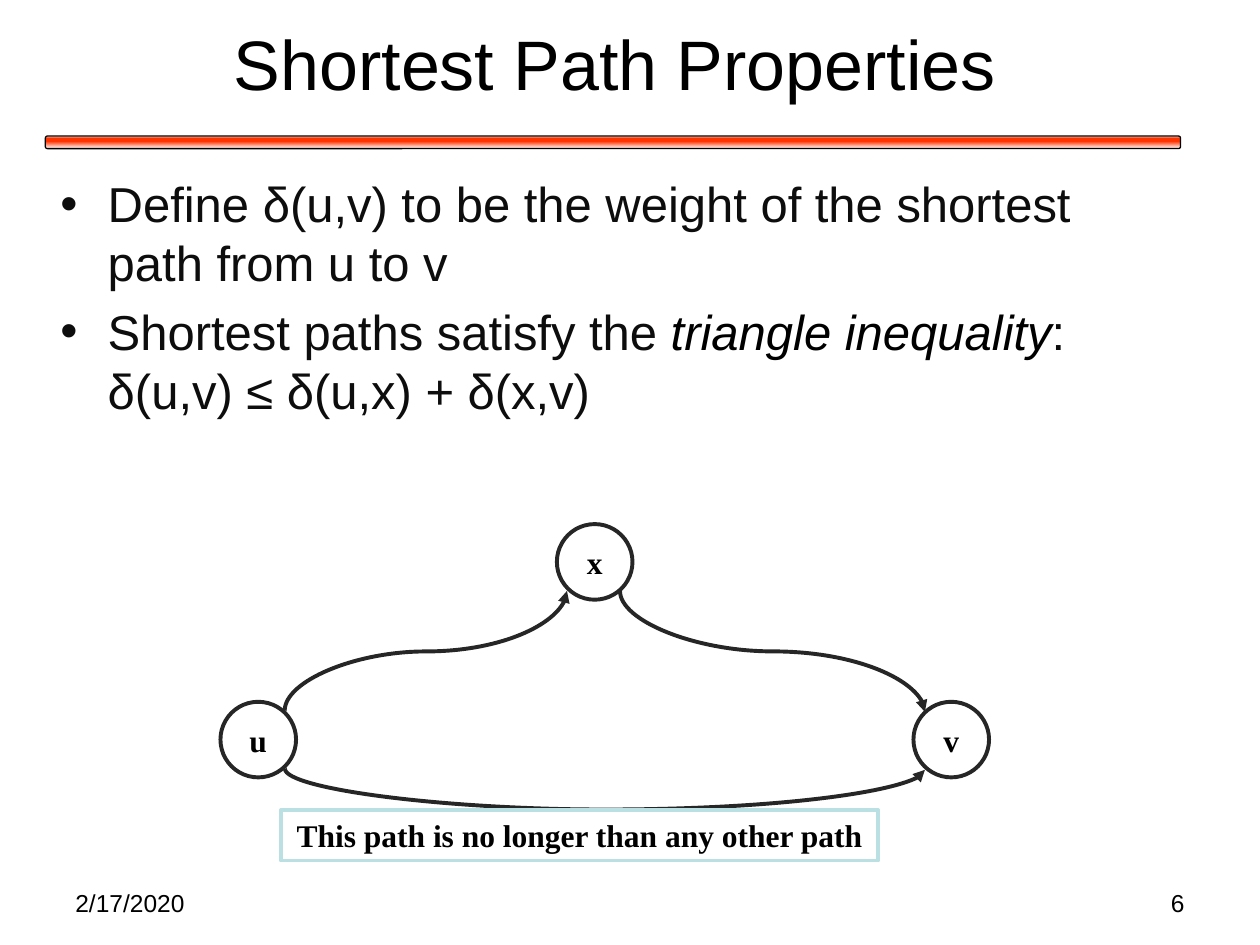
from dataclasses import dataclass

from lxml import etree
from pptx import Presentation
from pptx.dml.color import RGBColor
from pptx.enum.shapes import MSO_CONNECTOR, MSO_SHAPE
from pptx.enum.text import MSO_ANCHOR, MSO_AUTO_SIZE, PP_ALIGN
from pptx.oxml import parse_xml
from pptx.oxml.ns import nsdecls, qn
from pptx.util import Inches, Pt

CURVE = MSO_CONNECTOR.CURVE
OVAL, RECT, ROUND = MSO_SHAPE.OVAL, MSO_SHAPE.RECTANGLE, MSO_SHAPE.ROUNDED_RECTANGLE
MIDDLE, NO_FIT = MSO_ANCHOR.MIDDLE, MSO_AUTO_SIZE.NONE
LEFT, CENTER, RIGHT = PP_ALIGN.LEFT, PP_ALIGN.CENTER, PP_ALIGN.RIGHT


@dataclass(frozen=True)
class Theme:
    """Fonts, colours and type sizes of the slide."""
    sans: str = "Arial"
    serif: str = "Times New Roman"
    black: str = "000000"
    white: str = "FFFFFF"
    soft: str = "0D0D0D"
    edge: str = "262626"
    frame: str = "BBE0E3"
    red: str = "FF3300"
    title: int = 40
    body: int = 28
    label: int = 18
    foot: int = 14
    thick: float = 2.25
    thin: float = 0.75


THEME = Theme()


def place(shape, box):
    """Move a shape to a box given in inches."""
    shape.left, shape.top, shape.width, shape.height = map(Inches, box)


def style(font, face, size, color, bold=False, italic=False):
    """Set the look of a font."""
    font.name, font.size, font.bold, font.italic = face, Pt(size), bold, italic
    font.color.rgb = RGBColor.from_string(color)


def stroke(line, color, width):
    """Set the colour and width of a line."""
    line.color.rgb = RGBColor.from_string(color)
    line.width = Pt(width)


def add_title(slide, box, text):
    """Fill the title placeholder."""
    title = slide.shapes.title
    place(title, box)
    frame = title.text_frame
    frame.text = text
    frame.auto_size, frame.vertical_anchor = NO_FIT, MIDDLE
    frame.paragraphs[0].alignment = CENTER
    style(frame.paragraphs[0].runs[0].font, THEME.sans, THEME.title, THEME.black)


def add_rule(slide, box):
    """Draw the glowing bar below the title."""
    bar = slide.shapes.add_shape(ROUND, *map(Inches, box))
    bar.shadow.inherit = False
    stroke(bar.line, THEME.black, THEME.thin)
    stops = ((0, THEME.white), (16, THEME.red), (42, THEME.red), (100, THEME.white))
    marks = "".join(f'<a:gs pos="{at * 1000}"><a:srgbClr val="{color}"/></a:gs>'
                    for at, color in stops)
    fill = parse_xml(f'<a:gradFill {nsdecls("a")} rotWithShape="1"><a:gsLst>{marks}'
                     '</a:gsLst><a:lin ang="5400000" scaled="1"/></a:gradFill>')
    bar._element.spPr.find(qn("a:prstGeom")).addnext(fill)


def add_list(slide, box, items):
    """Fill the body placeholder with items of (text, italic) parts."""
    body = slide.placeholders[1]
    place(body, box)
    frame = body.text_frame
    frame.auto_size = NO_FIT
    for i, parts in enumerate(items):
        para = frame.add_paragraph() if i else frame.paragraphs[0]
        para.space_before = Pt(5.6 if i else 0)
        for text, italic in parts:
            run = para.add_run()
            run.text = text
            color = THEME.black if italic else THEME.soft
            style(run.font, THEME.sans, THEME.body, color, italic=italic)


def add_label(shape, text):
    """Write a bold centred label in a shape."""
    frame = shape.text_frame
    frame.text = text
    frame.word_wrap, frame.vertical_anchor = False, MIDDLE
    frame.paragraphs[0].alignment = CENTER
    style(frame.paragraphs[0].runs[0].font, THEME.serif, THEME.label, THEME.black, True)


def add_node(slide, box, name):
    """Draw one graph node."""
    node = slide.shapes.add_shape(OVAL, *map(Inches, box))
    node.shadow.inherit = False
    node.fill.solid()
    node.fill.fore_color.rgb = RGBColor.from_string(THEME.white)
    stroke(node.line, THEME.edge, THEME.thick)
    add_label(node, name)


def add_edge(slide, start, end, bend):
    """Draw an upright curved arrow whose middle lies at height bend."""
    (x1, y1), (x2, y2) = start, end
    mid_x, mid_y = (x1 + x2) / 2, (y1 + y2) / 2
    half_x, half_y = (x2 - x1) / 2, (y2 - y1) / 2
    ends = (mid_x + half_y, mid_y - half_x, mid_x - half_y, mid_y + half_x)
    edge = slide.shapes.add_connector(CURVE, *map(Inches, ends))
    stroke(edge.line, THEME.edge, THEME.thick)
    props = edge._element.spPr
    props.find(qn("a:xfrm")).set("rot", "16200000")
    guides = props.find(qn("a:prstGeom")).get_or_add_avLst()
    ratio = round((bend - y1) / (y2 - y1) * 100000)
    etree.SubElement(guides, qn("a:gd"), name="adj1", fmla=f"val {ratio}")
    etree.SubElement(props.find(qn("a:ln")), qn("a:tailEnd"), type="triangle")
    etree.SubElement(props, qn("a:effectLst"))


def add_graph(slide, box):
    """Draw the three nodes, their paths and the note."""
    left, top, width, height = box
    size, low = 0.6, top + 1.41
    right = left + width
    peak = left + 2.67
    for name, x, y in (("x", peak, top), ("u", left, low), ("v", right - size, low)):
        add_node(slide, (x, y, size, size), name)
    near, far = left + 0.51, right - 0.51
    add_edge(slide, (near, low + 0.07), (peak + 0.08, top + 0.53), top + 1.01)
    add_edge(slide, (peak + 0.5, top + 0.53), (far, low + 0.08), top + 1.01)
    add_edge(slide, (near, low + 0.53), (far, low + 0.54), low + 0.86)
    note_box = (left + 0.48, top + height - 0.4, 4.74, 0.4)
    note = slide.shapes.add_shape(RECT, *map(Inches, note_box))
    note.shadow.inherit = False
    note.fill.background()
    stroke(note.line, THEME.frame, THEME.thick)
    add_label(note, "This path is no longer than any other path")


def add_foot(slide, box, date, page):
    """Write the date on the left and the page number on the right."""
    left, top, width, height = box
    part = 2.33
    for text, x, align in ((date, left, LEFT), (page, left + width - part, RIGHT)):
        area = slide.shapes.add_textbox(*map(Inches, (x, top, part, height)))
        frame = area.text_frame
        frame.text = text
        frame.word_wrap = True
        frame.paragraphs[0].alignment = align
        style(frame.paragraphs[0].runs[0].font, THEME.sans, THEME.foot, THEME.black)


def main():
    """Build and save the slide."""
    deck = Presentation()
    deck.slide_width, deck.slide_height = Inches(10), Inches(7.5)
    slide = deck.slides.add_slide(deck.slide_layouts[1])
    add_rule(slide, (0.36, 1.08, 9.01, 0.1))
    add_title(slide, (0.38, 0, 9, 0.99), "Shortest Path Properties")
    add_list(slide, (0.38, 1.33, 9, 5.55), (
        (("Define δ(u,v) to be the weight of the shortest path from u to v", False),),
        (("Shortest paths satisfy the ", False), ("triangle inequality", True),
         (": δ(u,v) ≤ δ(u,x) + δ(x,v)", False)),
    ))
    add_graph(slide, (1.75, 4.16, 6.1, 2.67))
    add_foot(slide, (0.5, 7, 9, 0.35), "2/17/2020", "6")
    deck.save("out.pptx")


if __name__ == "__main__":
    main()
